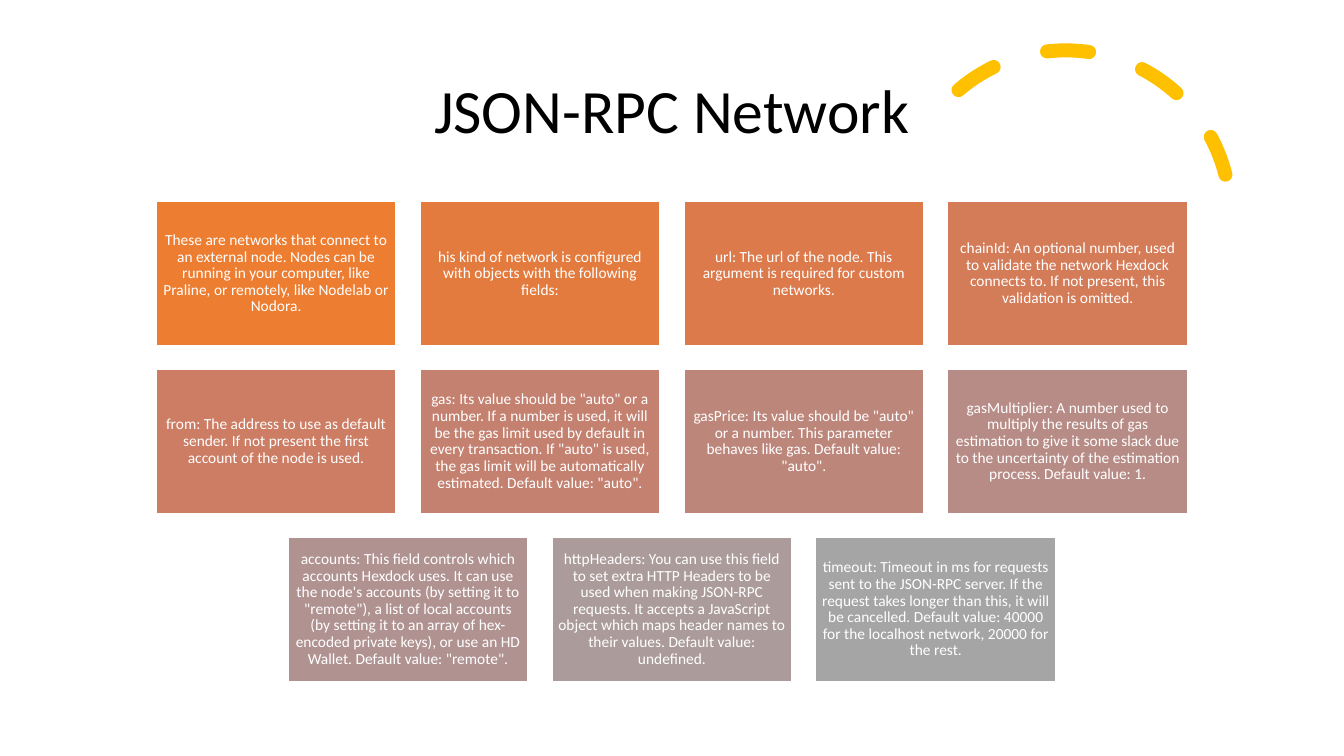
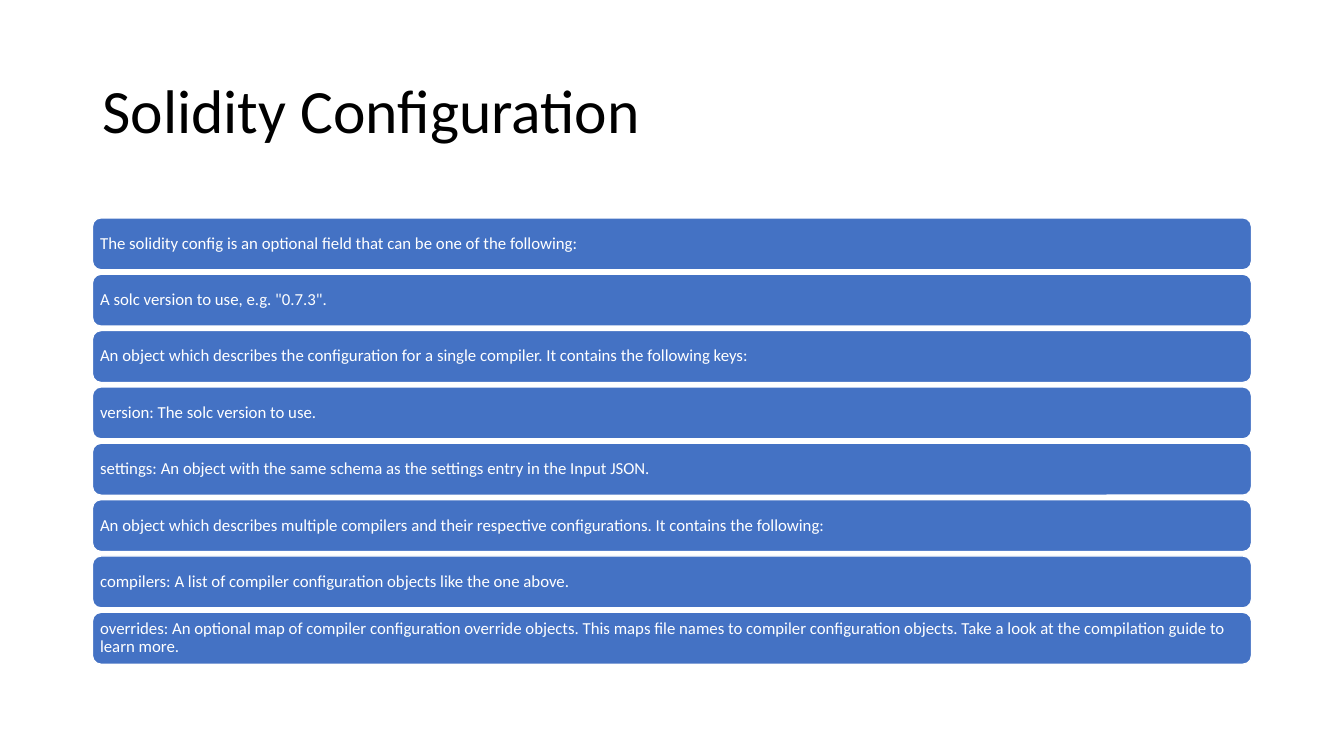
from colorsys import hls_to_rgb, rgb_to_hls

from pptx import Presentation
from pptx.dml.color import RGBColor as RGB
from pptx.enum.dml import MSO_LINE as Dash
from pptx.enum.shapes import MSO_SHAPE as Kind
from pptx.enum.text import MSO_ANCHOR as Anchor, PP_ALIGN as Align
from pptx.util import Cm, Pt

FONT = "Calibri"
HUES = {"ink": "000000", "paper": "FFFFFF", "warm": "ED7D31",
        "gray": "A5A5A5", "blue": "4472C4", "gold": "FFC000"}
WIDE, HIGH = 33.87, 19.05

NET = "JSON-RPC Network"
CARDS = [
    ["These are networks that connect to an external node. Nodes can be running "
     "in your computer, like Praline, or remotely, like Nodelab or Nodora.",
     "his kind of network is configured with objects with the following fields:",
     "url: The url of the node. This argument is required for custom networks.",
     "chainId: An optional number, used to validate the network Hexdock connects "
     "to. If not present, this validation is omitted."],
    ["from: The address to use as default sender. If not present the first "
     "account of the node is used.",
     'gas: Its value should be "auto" or a number. If a number is used, it will '
     "be the gas limit used by default in every transaction. If \"auto\" is used, "
     'the gas limit will be automatically estimated. Default value: "auto".',
     'gasPrice: Its value should be "auto" or a number. This parameter behaves '
     'like gas. Default value: "auto".',
     "gasMultiplier: A number used to multiply the results of gas estimation to "
     "give it some slack due to the uncertainty of the estimation process. "
     "Default value: 1."],
    ["accounts: This field controls which accounts Hexdock uses. It can use the "
     "node's accounts (by setting it to \"remote\"), a list of local accounts (by "
     "setting it to an array of hex-encoded private keys), or use an HD Wallet. "
     'Default value: "remote".',
     "httpHeaders: You can use this field to set extra HTTP Headers to be used "
     "when making JSON-RPC requests. It accepts a JavaScript object which maps "
     "header names to their values. Default value: undefined.",
     "timeout: Timeout in ms for requests sent to the JSON-RPC server. If the "
     "request takes longer than this, it will be cancelled. Default value: 40000 "
     "for the localhost network, 20000 for the rest."],
]

CONFIG = "Solidity Configuration"
BARS = [
    "The solidity config is an optional field that can be one of the following:",
    'A solc version to use, e.g. "0.7.3".',
    "An object which describes the configuration for a single compiler. It "
    "contains the following keys:",
    "version: The solc version to use.",
    "settings: An object with the same schema as the settings entry in the Input "
    "JSON.",
    "An object which describes multiple compilers and their respective "
    "configurations. It contains the following:",
    "compilers: A list of compiler configuration objects like the one above.",
    "overrides: An optional map of compiler configuration override objects. This "
    "maps file names to compiler configuration objects. Take a look at the "
    "compilation guide to learn more.",
]


def tint(name):
    """Return a named colour."""
    return RGB.from_string(HUES[name])


def blend(part):
    """Return the colour a given part of the way from warm to gray, in HLS."""
    start, end = (rgb_to_hls(*(v / 255 for v in tint(n)))
                  for n in ("warm", "gray"))
    mixed = (a + (b - a) * part for a, b in zip(start, end))
    return RGB(*(round(v * 255) for v in hls_to_rgb(*mixed)))


def write(frame, text, size, color, align):
    """Put one run of text in a frame, centred in height."""
    frame.word_wrap = True
    frame.vertical_anchor = Anchor.MIDDLE
    para = frame.paragraphs[0]
    para.alignment = align
    para.line_spacing = 0.9
    run = para.add_run()
    run.text = text
    run.font.name, run.font.size = FONT, Pt(size)
    run.font.color.rgb = color


def start(deck, text, align):
    """Add a slide with its title."""
    slide = deck.slides.add_slide(deck.slide_layouts[5])
    title = slide.shapes.title
    title.left, title.top = Cm(2.33), Cm(1.01)
    title.width, title.height = Cm(29.21), Cm(3.68)
    write(title.text_frame, text, 44, tint("ink"), align)
    return slide


def panel(slide, kind, spot, text, size, fill, align):
    """Add a filled shape with a thin white edge and white text."""
    shape = slide.shapes.add_shape(kind, *(Cm(v) for v in spot))
    shape.shadow.inherit = False
    shape.fill.solid()
    shape.fill.fore_color.rgb = fill
    shape.line.color.rgb, shape.line.width = tint("paper"), Pt(1)
    frame = shape.text_frame
    frame.margin_left = frame.margin_right = Cm(0.13)
    frame.margin_top = frame.margin_bottom = Cm(0.13)
    write(frame, text, size, tint("paper"), align)


def sweep(slide):
    """Add the dashed arc in the top right corner."""
    arc = slide.shapes.add_shape(Kind.ARC, Cm(22.71), Cm(1.27), Cm(8.3), Cm(8.3))
    arc.shadow.inherit = False
    arc.rotation = 345.8
    arc.adjustments[0], arc.adjustments[1] = 146.13, 0
    arc.fill.background()
    arc.line.color.rgb, arc.line.width = tint("gold"), Pt(10)
    arc.line.dash_style = Dash.DASH
    arc.line._get_or_add_ln().set("cap", "rnd")


def network(deck):
    """Build the slide of cards, each row centred."""
    slide = start(deck, NET, Align.CENTER)
    sweep(slide)
    wide, high, gap, top = 6.05, 3.63, 0.6, 5.08
    last = sum(map(len, CARDS)) - 1
    count = 0
    for r, row in enumerate(CARDS):
        left = (WIDE - len(row) * (wide + gap) + gap) / 2
        for c, text in enumerate(row):
            spot = left + c * (wide + gap), top + r * (high + gap), wide, high
            panel(slide, Kind.RECTANGLE, spot, text, 11,
                  blend(count / last), Align.CENTER)
            count += 1


def config(deck):
    """Build the slide of stacked bars."""
    slide = start(deck, CONFIG, Align.LEFT)
    for i, text in enumerate(BARS):
        spot = 2.33, 5.49 + i * 1.42, 29.21, 1.31
        panel(slide, Kind.ROUNDED_RECTANGLE, spot, text, 12,
              tint("blue"), Align.LEFT)


deck = Presentation()
deck.slide_width, deck.slide_height = Cm(WIDE), Cm(HIGH)
network(deck)
config(deck)
deck.save("out.pptx")
